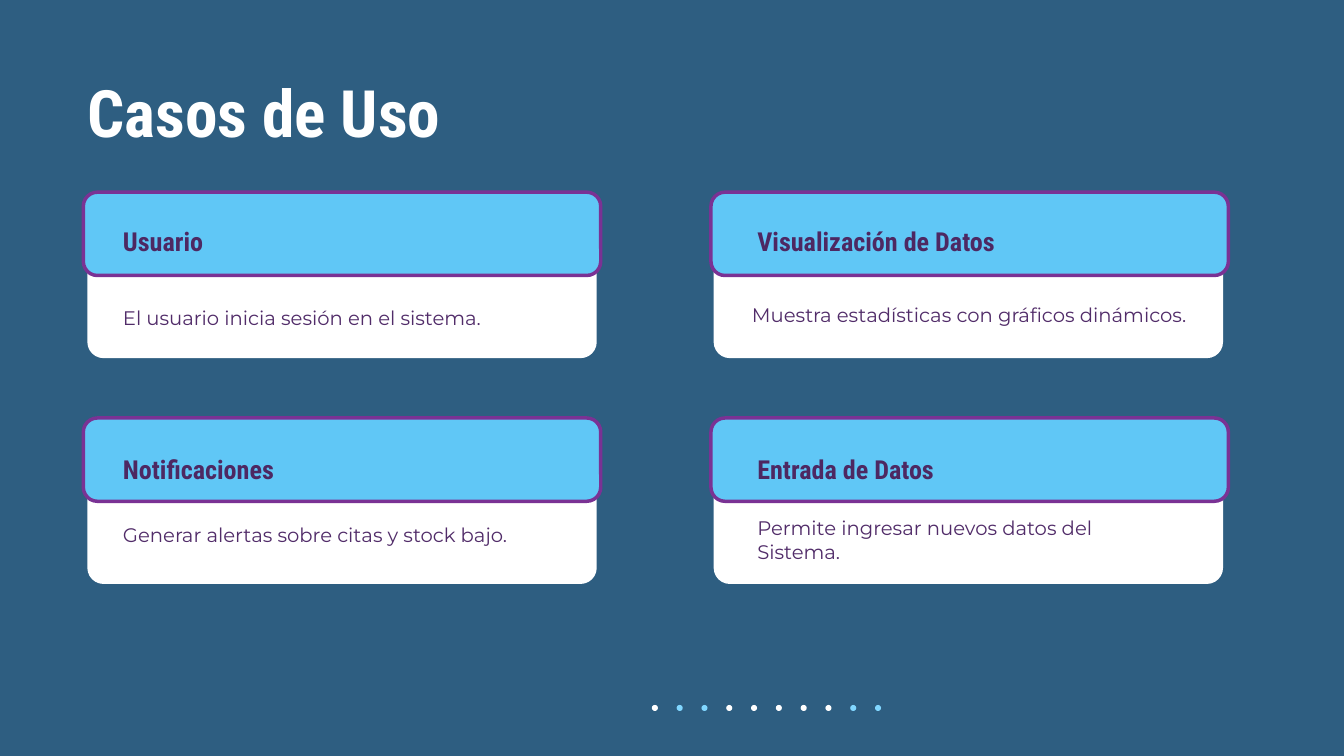
from pptx import Presentation
from pptx import util as u
from pptx.dml import color
from pptx.enum import shapes, text

PANEL_LEFTS = (1.3, 10.62)
HEADER_LEFTS = (1.24, 10.58)
HEADING_LEFTS = (1.83, 11.27)
ROW_TOPS = (2.86, 6.22)
HEADING_TOPS = (3.26, 6.66)
WHITE, SKY, PURPLE = "FFFFFF", "60C7F6", "7A3294"

USE_CASES = [
    (0, 0, "Usuario", "El usuario inicia sesión en el sistema.", 1.83, 4.55, 6.83),
    (1, 0, "Visualización de Datos", "Muestra estadísticas con gráficos dinámicos.", 11.19, 4.5, 6.72),
    (0, 1, "Notificaciones", "Generar alertas sobre citas y stock bajo.", 1.83, 7.78, 6.1),
    (1, 1, "Entrada de Datos", "Permite ingresar nuevos datos del Sistema.", 11.27, 7.68, 6.1),
]


def rgb(value):
    return color.RGBColor.from_string(value)


def add_shape(page, kind, left, top, width, height, fill, line=None):
    shape = page.shapes.add_shape(
        kind, u.Inches(left), u.Inches(top), u.Inches(width), u.Inches(height))
    shape.shadow.inherit = False
    shape.fill.solid()
    shape.fill.fore_color.rgb = rgb(fill)
    if line:
        shape.line.color.rgb = rgb(line)
        shape.line.width = u.Pt(3.75)
    else:
        shape.line.fill.background()
    return shape


def add_rounded(page, left, top, width, height, radius, fill, line=None):
    shape = add_shape(page, shapes.MSO_SHAPE.ROUNDED_RECTANGLE,
                      left, top, width, height, fill, line)
    shape.adjustments[0] = radius / height


def add_text(page, words, left, top, width, height, *, size, font, fill,
             bold=False, spacing=None):
    box = page.shapes.add_textbox(
        u.Inches(left), u.Inches(top), u.Inches(width), u.Inches(height))
    frame = box.text_frame
    frame.word_wrap = True
    frame.vertical_anchor = text.MSO_ANCHOR.TOP
    frame.margin_left = frame.margin_right = 0
    frame.margin_top = frame.margin_bottom = 0
    para = frame.paragraphs[0]
    if spacing:
        para.line_spacing = spacing
    span = para.add_run()
    span.text = words
    span.font.size = u.Pt(size)
    span.font.name = font
    span.font.bold = bold
    span.font.color.rgb = rgb(fill)


def add_use_case(page, column, row, heading, detail, left, top, width):
    add_rounded(page, PANEL_LEFTS[column], ROW_TOPS[row], 7.58, 2.47, 0.24, WHITE)
    add_rounded(page, HEADER_LEFTS[column], ROW_TOPS[row], 7.7, 1.24, 0.21, SKY, PURPLE)
    add_text(page, heading, HEADING_LEFTS[column], HEADING_TOPS[row], 6.72, 0.57,
             size=28, font="Roboto Condensed", fill="4D2862", bold=True, spacing=1.2)
    add_text(page, detail, left, top, width, 0.35,
             size=21, font="Montserrat", fill="512C69")


def add_progress_dots(page):
    for index in range(10):
        fill = "81D7FF" if index in (1, 2, 8, 9) else WHITE
        add_shape(page, shapes.MSO_SHAPE.OVAL, 9.7 + 0.369 * index, 10.49, 0.09, 0.09, fill)


def main():
    deck = Presentation()
    deck.slide_width, deck.slide_height = u.Inches(20), u.Inches(11.25)
    page = deck.slides.add_slide(deck.slide_layouts[6])
    page.background.fill.solid()
    page.background.fill.fore_color.rgb = rgb("2E5E81")
    add_text(page, "Casos de Uso", 1.3, 1.08, 16.99, 1.18,
             size=70, font="Roboto Condensed", fill=WHITE, bold=True)
    for use_case in USE_CASES:
        add_use_case(page, *use_case)
    add_progress_dots(page)
    deck.save("out.pptx")


if __name__ == "__main__":
    main()
